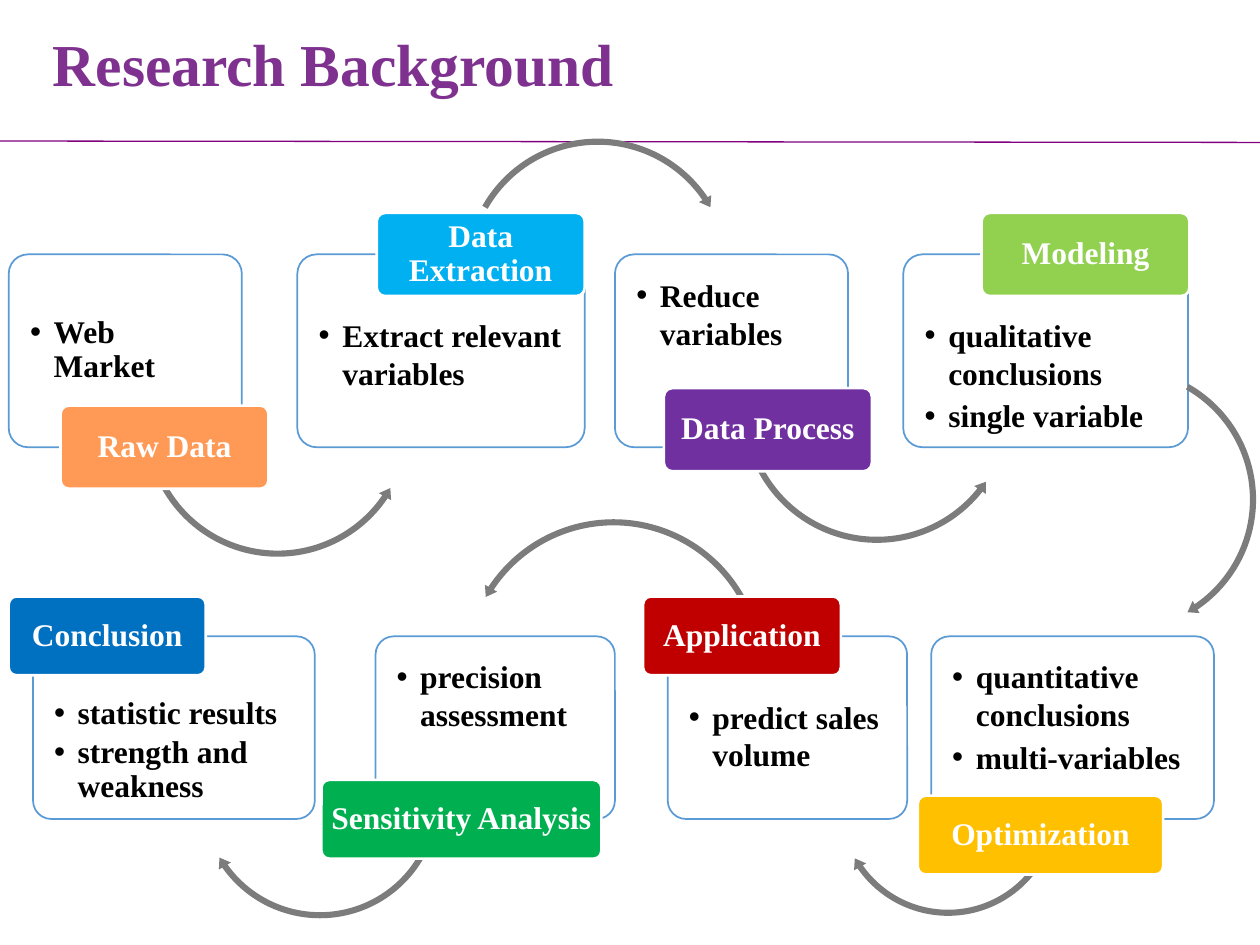
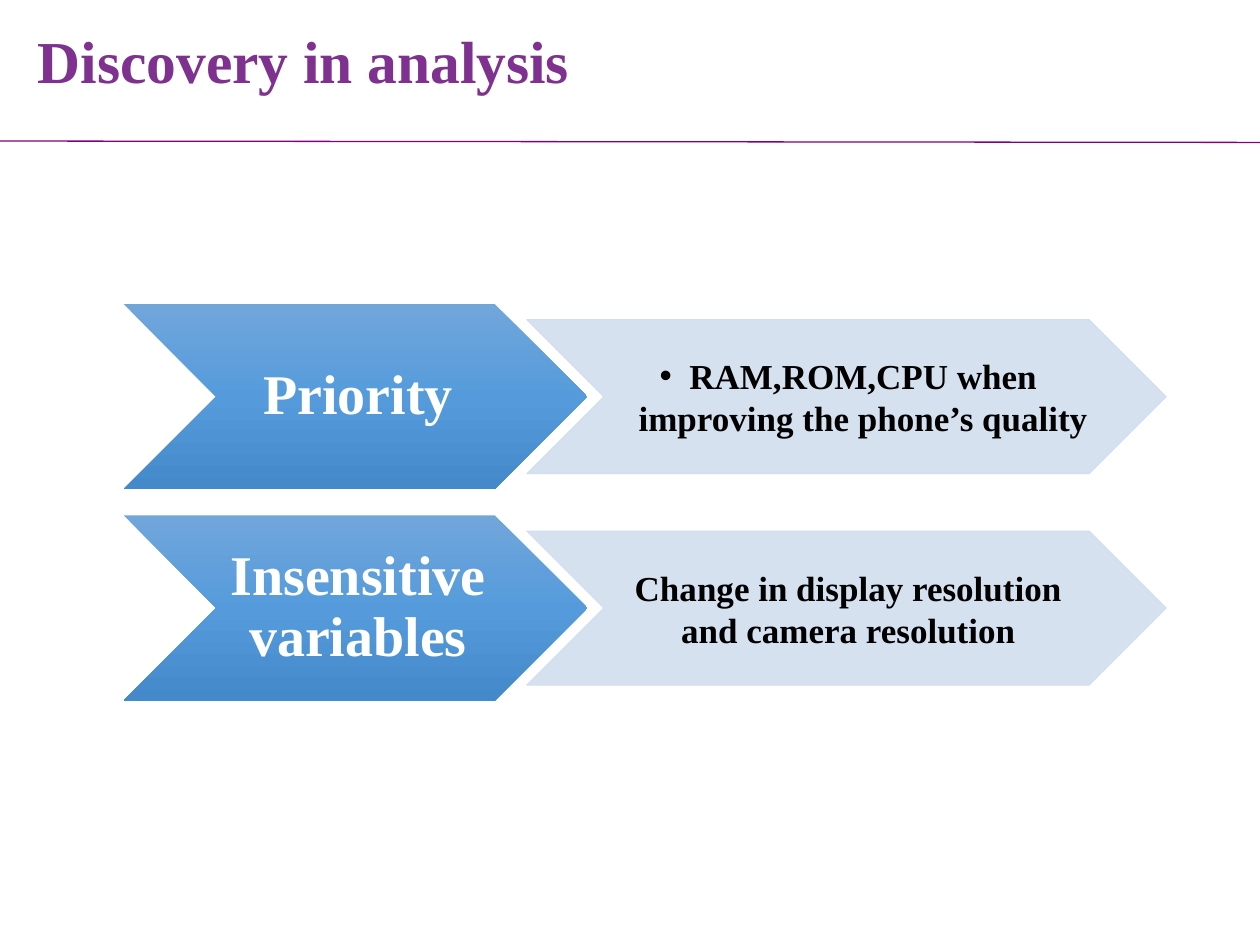
import pptx
import pptx.util
import pptx.dml.color
import pptx.enum.shapes
import pptx.enum.text
import pptx.oxml
import pptx.oxml.ns
from lxml import etree

Pt = pptx.util.Pt
SHAPE = pptx.enum.shapes.MSO_SHAPE
ALIGN = pptx.enum.text.PP_ALIGN
ANCHOR = pptx.enum.text.MSO_ANCHOR
qn = pptx.oxml.ns.qn

# ---- Shared look ----
FONT = "Times New Roman"
COLORS = {
    "title": "7E318E", "rule": "800080", "white": "FFFFFF", "black": "000000",
    "outline": "5B9BD5", "arrow": "7C7C7C", "pale": "D2DEEF",
    "orange": "FF9A56", "sky": "00B0F0", "purple": "7030A0", "lime": "92D050",
    "amber": "FFC000", "red": "C00000", "green": "00B050", "blue": "0070C0",
}
GRADIENT = [(0, "71A6DB"), (50, "559BDB"), (100, "448ACA")]

# ---- Content: process steps ----
LEFT_ARC, RIGHT_ARC = SHAPE.LEFT_CIRCULAR_ARROW, SHAPE.CIRCULAR_ARROW
HIGH, LOW = 9, 32  # space above the bullets inside a box

# Rows: top and height of the boxes, height of the labels
ROWS = {"upper": (145.4, 110.2, 47.5), "lower": (363.6, 104.4, 45)}

# box: left, width; label: left, top, width;
# arc: kind, left, top, size, start angle, end angle, rotation
STEPS = [
    {"name": "Raw Data", "color": "orange", "row": "upper", "bullets": ["Web Market"],
     "box": (5, 133.2), "label": (34.6, 231.8, 118.8), "text_top": LOW, "spacing": 0.9,
     "arc": (LEFT_ARC, 80.6, 164.2, 156.2, 150.4, 34.1, 0)},
    {"name": "Data Extraction", "color": "sky", "row": "upper",
     "bullets": ["Extract relevant variables"],
     "box": (169.9, 164.2), "label": (215.3, 121.7, 118.8), "text_top": LOW, "spacing": 1,
     "arc": (RIGHT_ARC, 263.5, 77, 156.2, 209.6, 325.9, 0)},
    {"name": "Data Process", "color": "purple", "row": "upper",
     "bullets": ["Reduce variables"],
     "box": (351.4, 133.2), "label": (379.4, 221.8, 118.8), "text_top": HIGH, "spacing": 1,
     "arc": (LEFT_ARC, 421.9, 154.1, 158.4, 154.8, 38.4, 0)},
    {"name": "Modeling", "color": "lime", "row": "upper",
     "bullets": ["qualitative conclusions", "single variable"],
     "box": (516.2, 162.7), "label": (560.9, 121.7, 118.8), "text_top": LOW, "spacing": 1,
     "arc": (RIGHT_ARC, 563.8, 207.4, 156.2, 209.6, 325.9, 90)},
    {"name": "Optimization", "color": "amber", "row": "lower",
     "bullets": ["quantitative conclusions", "multi-variables"],
     "box": (532.1, 161.6), "label": (524.5, 454.7, 140.2), "text_top": HIGH, "spacing": 1,
     "arc": (RIGHT_ARC, 476.6, 395.3, 130.3, 29.6, 145.2, 0)},
    {"name": "Application", "color": "red", "row": "lower",
     "bullets": ["predict sales volume"],
     "box": (381.6, 136.8), "label": (367.5, 340.9, 113), "text_top": LOW, "spacing": 1,
     "arc": (LEFT_ARC, 262.8, 294.5, 175.7, 330.4, 213.4, 0)},
    {"name": "Sensitivity Analysis", "color": "green", "row": "lower",
     "bullets": ["precision assessment"],
     "box": (214.6, 136.8), "label": (183.7, 445.7, 160), "text_top": HIGH, "spacing": 1,
     "arc": (RIGHT_ARC, 112.3, 385.9, 141.1, 28.7, 144.7, 0)},
    {"name": "Conclusion", "color": "blue", "row": "lower",
     "bullets": ["statistic results", "strength and weakness"],
     "box": (18.9, 161), "label": (5, 340.9, 112.6), "text_top": LOW, "spacing": 0.9,
     "arc": None},
]

# ---- Content: findings as (heading, detail, bulleted) ----
FINDINGS = [
    ("Priority", "RAM,ROM,CPU when improving the phone’s quality", True),
    ("Insensitive variables", "Change in display resolution and camera resolution", False),
]


# ---- Helpers ----
def rgb(name):
    return pptx.dml.color.RGBColor.from_string(COLORS[name])


def add_shape(slide, kind, left, top, width, height, fill, line=None, line_width=1, alpha=None):
    shape = slide.shapes.add_shape(kind, Pt(left), Pt(top), Pt(width), Pt(height))
    shape.shadow.inherit = False
    shape.fill.solid()
    shape.fill.fore_color.rgb = rgb(fill)
    if line:
        shape.line.color.rgb = rgb(line)
        shape.line.width = Pt(line_width)
    else:
        shape.line.fill.background()
    if alpha:
        color = shape.element.spPr.find(qn("a:solidFill")).find(qn("a:srgbClr"))
        etree.SubElement(color, qn("a:alpha")).set("val", str(alpha * 1000))
    return shape


def set_gradient(shape):
    """Fill a shape from top to bottom with the three gradient stops."""
    shape.fill.gradient()
    gradient = shape.element.spPr.find(qn("a:gradFill"))
    stops = gradient.find(qn("a:gsLst"))
    for stop in list(stops):
        stops.remove(stop)
    for position, color in GRADIENT:
        stop = etree.SubElement(stops, qn("a:gs"), pos=str(position * 1000))
        etree.SubElement(stop, qn("a:srgbClr"), val=color)
    gradient.find(qn("a:lin")).set("ang", str(90 * 60000))


def set_text(shape, lines, size, color, insets, align=ALIGN.CENTER, anchor=ANCHOR.MIDDLE,
             spacing=0.9, hanging=0, space_after=0):
    """Write bold paragraphs; a hanging indent also gives them bullets."""
    frame = shape.text_frame
    frame.word_wrap = True
    frame.auto_size = pptx.enum.text.MSO_AUTO_SIZE.NONE
    frame.vertical_anchor = anchor
    (frame.margin_left, frame.margin_top,
     frame.margin_right, frame.margin_bottom) = map(Pt, insets)
    frame.text = "\n".join(lines)
    for paragraph in frame.paragraphs:
        paragraph.alignment = align
        paragraph.line_spacing = spacing
        paragraph.space_before = Pt(0)
        paragraph.space_after = Pt(space_after)
        if hanging:
            properties = paragraph._p.get_or_add_pPr()
            properties.set("marL", str(Pt(hanging)))
            properties.set("indent", str(-Pt(hanging)))
            etree.SubElement(properties, qn("a:buFont"), typeface="Arial")
            etree.SubElement(properties, qn("a:buChar"), char="•")
        for run in paragraph.runs:
            run.font.name = FONT
            run.font.size = Pt(size)
            run.font.bold = True
            run.font.color.rgb = rgb(color)


def add_titled_slide(presentation, title, left, top):
    slide = presentation.slides.add_slide(presentation.slide_layouts[5])
    rule = slide.shapes.add_connector(
        pptx.enum.shapes.MSO_CONNECTOR.STRAIGHT, 0, Pt(80.6), Pt(720), Pt(81.4))
    rule.line.color.rgb = rgb("rule")
    rule.line.width = Pt(0.75)
    etree.SubElement(rule.element.spPr, qn("a:effectLst"))
    heading = slide.shapes.title
    heading.left, heading.top, heading.width, heading.height = map(Pt, (left, top, 648, 45))
    set_text(heading, [title], 34, "title", (7.2, 3.6, 7.2, 3.6), ALIGN.LEFT)
    return slide


def add_arc(slide, kind, left, top, size, start, end, rotation):
    arc = add_shape(slide, kind, left, top, size, size, "arrow")
    arc.rotation = rotation
    # Same stroke and head on every arc; angles count in 0.6 per degree
    values = (3.5 / size, 418 / size, end * 0.6, start * 0.6, 4 / size)
    for index, value in enumerate(values):
        arc.adjustments[index] = value


def add_step(slide, step):
    box_top, box_height, label_height = ROWS[step["row"]]
    left, width = step["box"]
    box = add_shape(slide, SHAPE.ROUNDED_RECTANGLE, left, box_top, width, box_height,
                    "white", "outline", alpha=90)
    box.adjustments[0] = 0.1
    set_text(box, step["bullets"], 18, "black", (9, step["text_top"], 9, 0), ALIGN.LEFT,
             ANCHOR.TOP, step["spacing"], hanging=13.5, space_after=2.7)
    if step["arc"]:
        add_arc(slide, *step["arc"])
    label = add_shape(slide, SHAPE.ROUNDED_RECTANGLE, *step["label"], label_height,
                      step["color"], "white", 1.5)
    label.adjustments[0] = 0.1
    set_text(label, [step["name"]], 18, "white", (3, 2, 3, 2))


def add_finding(slide, index, heading, detail, bulleted):
    top = 173.7 + index * 120.8
    chevron = add_shape(slide, SHAPE.CHEVRON, 70.6, top, 265, 105.9, "outline")
    set_gradient(chevron)
    set_text(chevron, [heading], 32, "white", (3, 1.5, 0, 1.5))
    band = add_shape(slide, SHAPE.CHEVRON, 301, top + 9, 365.4, 88, "pale", "pale", 0.5, 90)
    set_text(band, [detail], 20, "black", (2, 1, 0, 1), spacing=1,
             hanging=17 if bulleted else 0)


def main():
    presentation = pptx.Presentation()
    presentation.slide_width, presentation.slide_height = Pt(720), Pt(540)

    background = add_titled_slide(presentation, "Research Background", 23, 15.8)
    for step in STEPS:
        add_step(background, step)

    discovery = add_titled_slide(presentation, "Discovery in analysis", 14.4, 14)
    for index, finding in enumerate(FINDINGS):
        add_finding(discovery, index, *finding)

    presentation.save("out.pptx")


if __name__ == "__main__":
    main()
